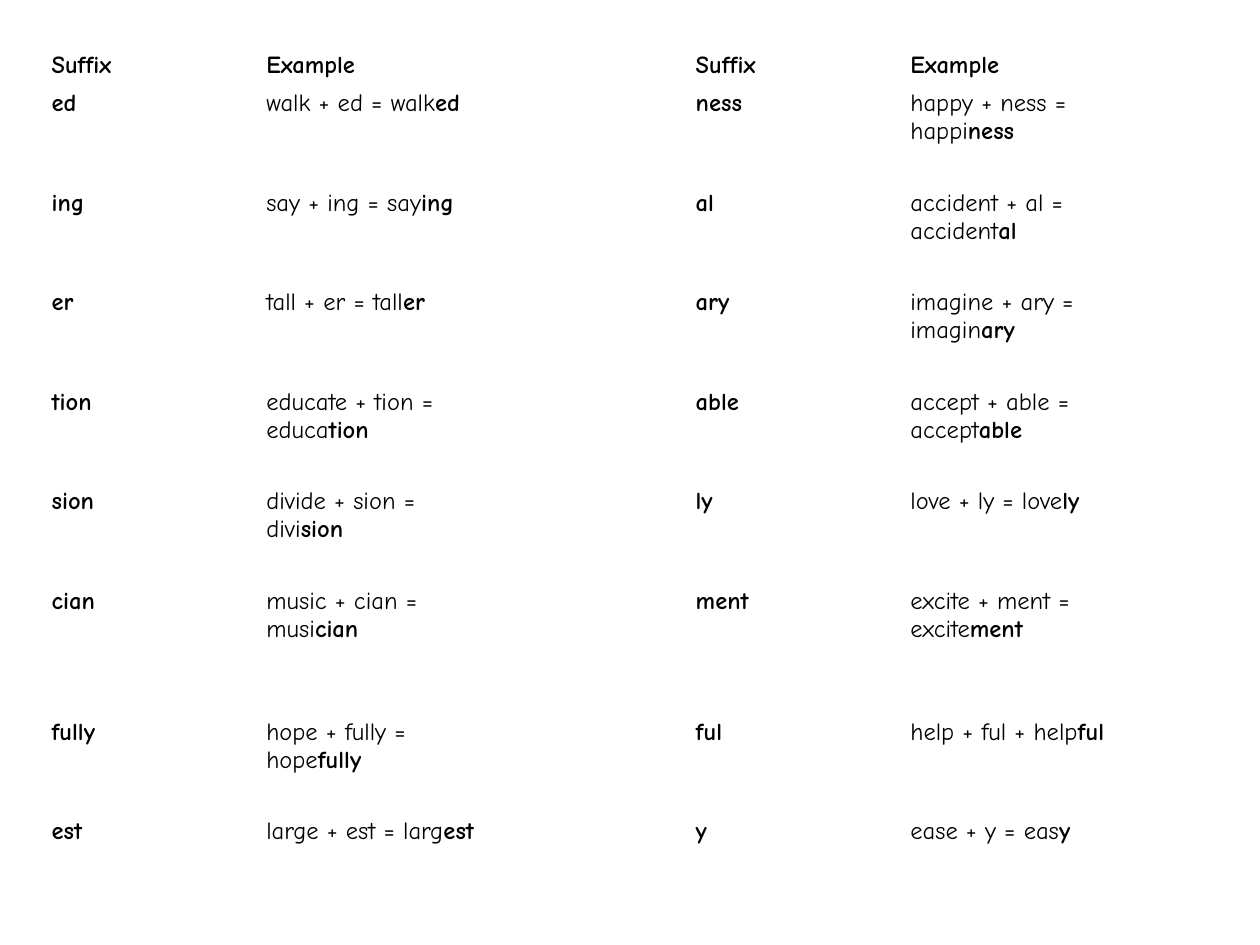
from pptx import Presentation
from pptx import util as u
from pptx.dml.color import RGBColor

COLORS = {"text": "000000"}
FONT = "Comic Neue"
ROW_HEIGHTS = [0.3] + [0.79] * 5 + [1.04, 0.79, 0.55]
COLUMN_COUNT = 5
LEFT_SUFFIXES = [
    ("walk + ed = walk", "ed"),
    ("say + ing = say", "ing"),
    ("tall + er = tall", "er"),
    ("educate + tion = educa", "tion"),
    ("divide + sion = divi", "sion"),
    ("music + cian = musi", "cian"),
    ("hope + fully = hope", "fully"),
    ("large + est = larg", "est"),
]
RIGHT_SUFFIXES = [
    ("happy + ness = happi", "ness"),
    ("accident + al = accident", "al"),
    ("imagine + ary = imagin", "ary"),
    ("accept + able = accept", "able"),
    ("love + ly = love", "ly"),
    ("excite + ment = excite", "ment"),
    ("help + ful + help", "ful"),
    ("ease + y = eas", "y"),
]


def write_cell(cell, bold_text="", plain_text=""):
    """Write plain text followed by bold text in an unfilled cell."""
    cell.fill.background()
    cell.margin_left = cell.margin_right = u.Inches(0.02)
    cell.margin_top = cell.margin_bottom = u.Inches(0.02)
    paragraph = cell.text_frame.paragraphs[0]
    paragraph.font.name = FONT
    paragraph.font.size = u.Pt(14)
    paragraph.font.color.rgb = RGBColor.from_string(COLORS["text"])
    for content, bold in ((plain_text, False), (bold_text, True)):
        if content:
            run = paragraph.add_run()
            run.text = content
            run.font.bold = bold


def write_suffixes(table, first_column, suffixes):
    """Fill a pair of columns with suffixes and their examples."""
    write_cell(table.cell(0, first_column), "Suffix")
    write_cell(table.cell(0, first_column + 1), "Example")
    for row, (stem, suffix) in enumerate(suffixes, start=1):
        write_cell(table.cell(row, first_column), suffix)
        write_cell(table.cell(row, first_column + 1), suffix, stem)


def add_suffix_table(slide, left, top, width):
    """Place the suffix table with two column pairs and a gap between."""
    height = u.Inches(sum(ROW_HEIGHTS))
    table = slide.shapes.add_table(
        len(ROW_HEIGHTS), COLUMN_COUNT, left, top, width, height
    ).table
    table.first_row = table.horz_banding = False
    for column in table.columns:
        column.width = width // COLUMN_COUNT
    for row, row_height in zip(table.rows, ROW_HEIGHTS):
        row.height = u.Inches(row_height)
        write_cell(row.cells[2])
    write_suffixes(table, 0, LEFT_SUFFIXES)
    write_suffixes(table, 3, RIGHT_SUFFIXES)


def main():
    """Build and save the slide."""
    presentation = Presentation()
    presentation.slide_width = u.Inches(10)
    presentation.slide_height = u.Inches(7.5)
    slide = presentation.slides.add_slide(presentation.slide_layouts[6])
    add_suffix_table(slide, u.Inches(0.39), u.Inches(0.39), u.Inches(8.52))
    presentation.save("out.pptx")


if __name__ == "__main__":
    main()
